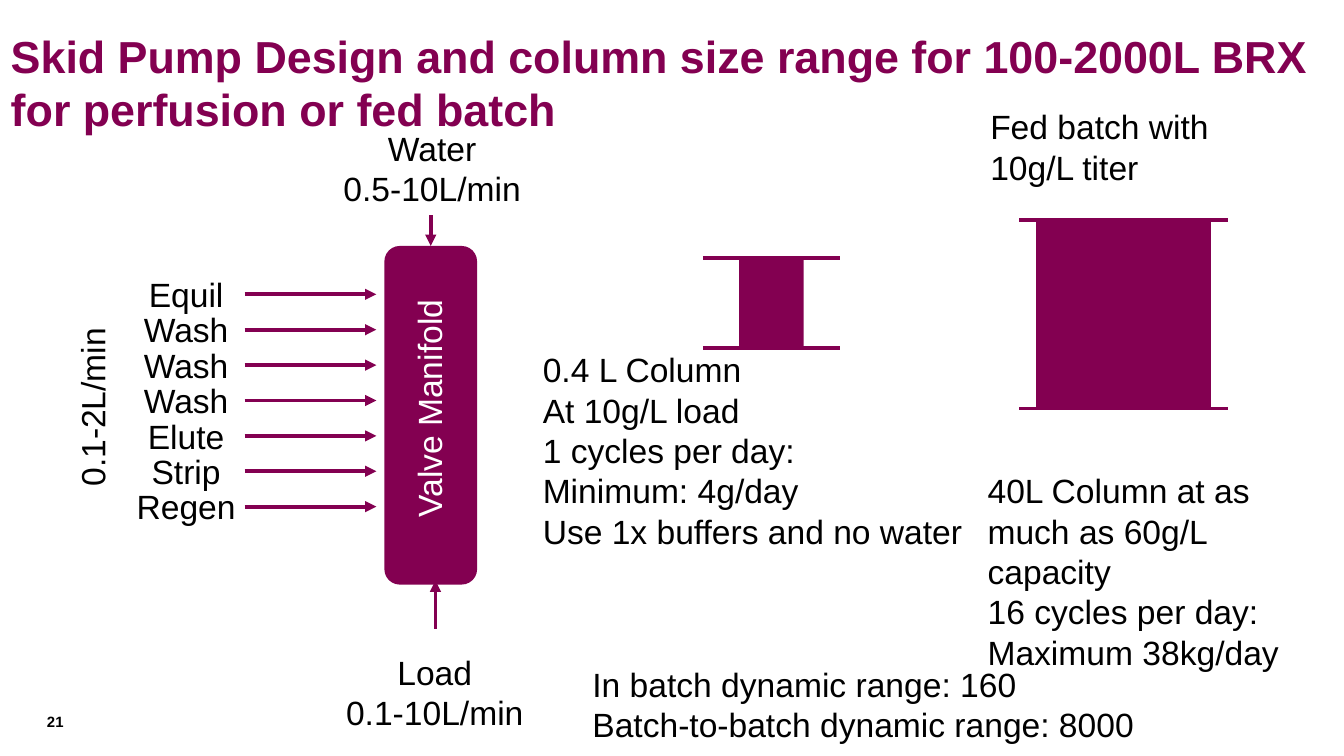
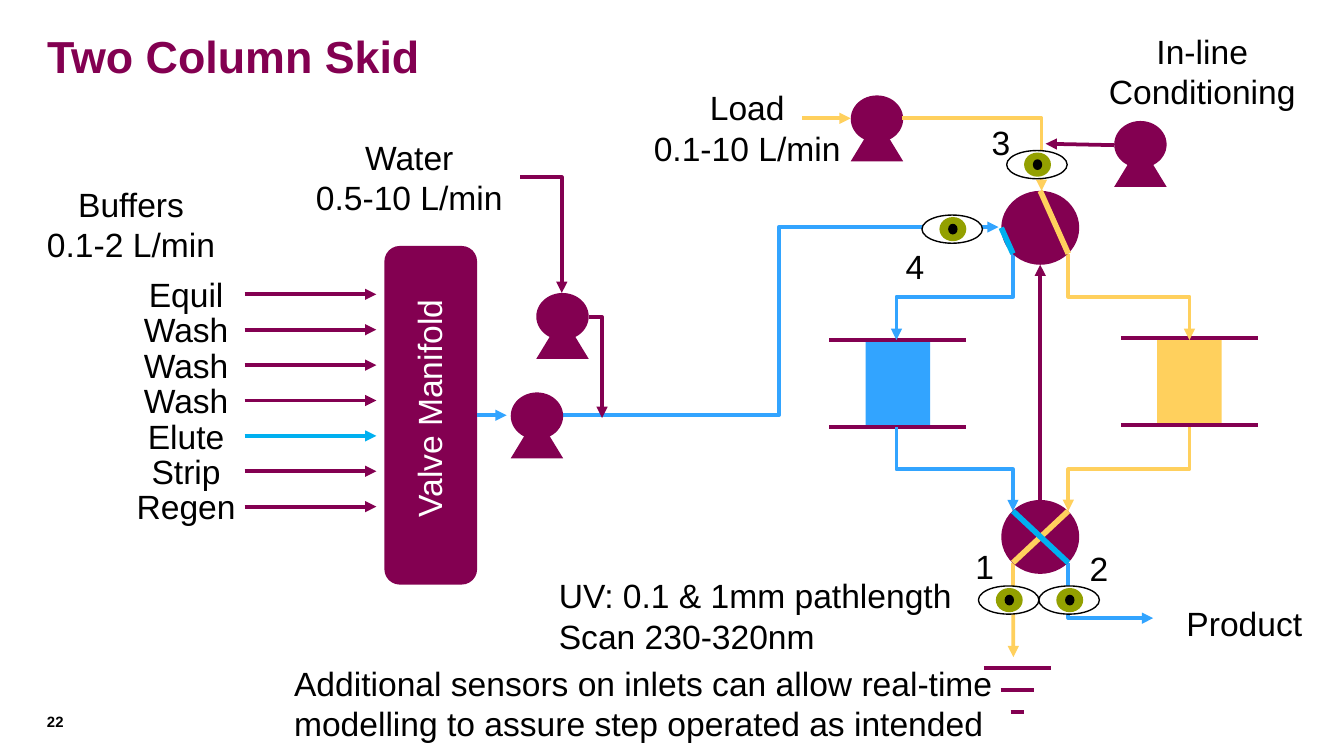
from typing import NamedTuple

from lxml import etree
from pptx import Presentation
from pptx import util as u
from pptx.dml.color import RGBColor
from pptx.enum import shapes as kinds, text
from pptx.oxml.ns import qn

PLUM = RGBColor(0x83, 0x00, 0x51)
BLUE = RGBColor(0x32, 0xA4, 0xFF)
CYAN = RGBColor(0x00, 0xB0, 0xF0)
AMBER = RGBColor(0xFF, 0xD0, 0x5D)
OLIVE = RGBColor(0x93, 0xA0, 0x00)
BLACK = RGBColor(0x00, 0x00, 0x00)
WHITE = RGBColor(0xFF, 0xFF, 0xFF)

FONT = "Arial"
SLIDE_WIDTH = u.Inches(10)
SLIDE_HEIGHT = u.Inches(5.625)
CELL = SLIDE_WIDTH / 100  # the grid has 100 columns and square cells

RECTANGLE = kinds.MSO_SHAPE.RECTANGLE
ELLIPSE = kinds.MSO_SHAPE.OVAL
TRIANGLE = kinds.MSO_SHAPE.ISOSCELES_TRIANGLE
ROUNDED = kinds.MSO_SHAPE.ROUNDED_RECTANGLE
CENTER = text.PP_ALIGN.CENTER
LEFT = text.PP_ALIGN.LEFT

BUFFERS = ["Equil", "Wash", "Wash", "Wash", "Elute", "Strip", "Regen"]


class Box(NamedTuple):
    """A region in grid cells."""
    left: float
    top: float
    width: float
    height: float

    def point(self, across, down):
        """Point at the given shares of the box's width and height."""
        return self.left + across * self.width, self.top + down * self.height

    def inner(self, left, top, width, height):
        """Box offset from this box's corner, in cells."""
        return Box(self.left + left, self.top + top, width, height)


MANIFOLD = Box(28.6, 18.3, 6.9, 25.2)
INLETS = Box(9.1, 19.9, 18.9, 15.8)


def cells(*values):
    return [u.Emu(round(value * CELL)) for value in values]


def format_text(frame, size, color, bold=False, align=LEFT):
    for paragraph in frame.paragraphs:
        paragraph.alignment = align
        for run in paragraph.runs:
            run.font.name = FONT
            run.font.size = u.Pt(size)
            run.font.bold = bold
            run.font.color.rgb = color


def add_label(slide, content, box, align=LEFT, color=BLACK, wrap=False, rotation=0):
    label = slide.shapes.add_textbox(*cells(*box))
    label.rotation = rotation
    label.text_frame.word_wrap = wrap
    label.text_frame.text = content
    format_text(label.text_frame, 18, color, align=align)


def add_solid(shapes, kind, box, color, outline=None):
    shape = shapes.add_shape(kind, *cells(*box))
    shape.shadow.inherit = False
    shape.fill.solid()
    shape.fill.fore_color.rgb = color
    if outline is None:
        shape.line.fill.background()
    else:
        shape.line.color.rgb = outline
        shape.line.width = u.Pt(0.75)
    return shape


def add_line(shapes, start, end, color=PLUM, width=2, arrow=False,
             kind=kinds.MSO_CONNECTOR.STRAIGHT):
    connector = shapes.add_connector(kind, *cells(*start, *end))
    connector.line.color.rgb = color
    connector.line.width = u.Pt(width)
    properties = connector._element.spPr
    if arrow:
        etree.SubElement(properties.find(qn("a:ln")), qn("a:tailEnd"), type="triangle")
    etree.SubElement(properties, qn("a:effectLst"))
    return connector


def add_arrow(shapes, start, end, color=PLUM):
    return add_line(shapes, start, end, color, arrow=True)


def add_elbow(shapes, start, end, color, bends=2, downward=False):
    """Bent arrow that leaves sideways, or downward by a quarter turn of its frame."""
    if downward:
        (x1, y1), (x2, y2) = start, end
        middle_x, middle_y = (x1 + x2) / 2, (y1 + y2) / 2
        half_run, half_drop = (x2 - x1) / 2, (y2 - y1) / 2
        start = middle_x - half_drop, middle_y + half_run
        end = middle_x + half_drop, middle_y - half_run
    connector = add_line(shapes, start, end, color, arrow=True,
                         kind=kinds.MSO_CONNECTOR.ELBOW)
    properties = connector._element.spPr
    properties.find(qn("a:prstGeom")).set("prst", f"bentConnector{bends + 1}")
    if downward:
        properties.find(qn("a:xfrm")).set("rot", "5400000")


def add_titled_slide(presentation, title, title_box, number):
    slide = presentation.slides.add_slide(presentation.slide_layouts[5])
    heading = slide.shapes.title
    heading.left, heading.top, heading.width, heading.height = cells(*title_box)
    frame = heading.text_frame
    frame.text = title
    frame.word_wrap = True
    frame.auto_size = text.MSO_AUTO_SIZE.NONE
    frame.vertical_anchor = text.MSO_ANCHOR.TOP
    format_text(frame, 24, PLUM, bold=True)

    footer = slide.shapes.add_textbox(*cells(3.5, 53, 4.3, 1.8)).text_frame
    footer.margin_left = footer.margin_right = footer.margin_top = footer.margin_bottom = 0
    footer.text = str(number)
    format_text(footer, 8, BLACK, bold=True)
    return slide


def add_manifold(slide, box):
    manifold = add_solid(slide.shapes, ROUNDED, box, PLUM)
    add_label(slide, "Valve Manifold", box.inner(-5.9, 10.1, 18.4, 4), CENTER, WHITE,
              rotation=270)
    return manifold


def add_buffer_inlets(slide, box, highlights):
    """One label and arrow per buffer; highlights maps a buffer to its arrow colour."""
    pitch = box.height / (len(BUFFERS) - 1)
    for row, buffer in enumerate(BUFFERS):
        add_label(slide, buffer, box.inner(0, row * pitch, 9.5, 4), CENTER)
        y = box.top + 2 + row * pitch
        add_arrow(slide.shapes, (box.left + 9.1, y), (box.left + box.width, y),
                  highlights.get(buffer, PLUM))


def add_column(slide, box, overhang, color=PLUM):
    """Packed bed between two end plates."""
    group = slide.shapes.add_group_shape().shapes
    add_solid(group, RECTANGLE, box, color)
    for y in (box.top, box.top + box.height):
        add_line(group, (box.left - overhang, y), (box.left + box.width + overhang, y))


def add_pump(slide, left, top):
    box = Box(left, top, 3.9, 4.9)
    group = slide.shapes.add_group_shape().shapes
    add_solid(group, ELLIPSE, box.inner(0, 0, 3.9, 3.5), PLUM)
    add_solid(group, TRIANGLE, box.inner(0, 1.7, 3.9, 3.2), PLUM)


def add_sensor(slide, left, top):
    """Eye-shaped UV sensor."""
    box = Box(left, top, 4.5, 2.1)
    group = slide.shapes.add_group_shape().shapes
    add_solid(group, ELLIPSE, box, WHITE, outline=BLACK)
    add_solid(group, ELLIPSE, box.inner(1.3, 0.15, 2, 1.8), OLIVE)
    add_solid(group, ELLIPSE, box.inner(1.95, 0.65, 0.7, 0.8), BLACK)


def add_valve(slide, box, channels):
    """Round valve; channels are (start, end, colour) in shares of the box."""
    group = slide.shapes.add_group_shape().shapes
    add_solid(group, ELLIPSE, box, PLUM)
    for start, end, color in channels:
        add_line(group, box.point(*start), box.point(*end), color, width=3)


def add_drain(slide, box):
    group = slide.shapes.add_group_shape().shapes
    for row, share in enumerate((1, 0.5, 0.2)):
        y = row / 2
        add_line(group, box.point(0.5 - share / 2, y), box.point(0.5 + share / 2, y))


def build_pump_design(presentation):
    slide = add_titled_slide(
        presentation,
        "Skid Pump Design and column size range for 100-2000L BRX for perfusion or fed batch",
        Box(-0.2, 1.6, 101.2, 5.5), 21)
    manifold = add_manifold(slide, MANIFOLD)
    add_buffer_inlets(slide, INLETS, {})
    add_label(slide, "0.1-2L/min", Box(-3.9, 28.3, 21.5, 4), CENTER, rotation=270)
    add_label(slide, "Water\n0.5-10L/min", Box(21.4, 9, 21.5, 7.1), CENTER)
    water = add_arrow(slide.shapes, (32.05, 16), MANIFOLD.point(0.5, 0))
    water.end_connect(manifold, 0)
    add_label(slide, "Load\n0.1-10L/min", Box(24.7, 48, 15.3, 7.1), CENTER)
    add_arrow(slide.shapes, (32.4, 46.8), (32.4, 43.2))

    add_column(slide, Box(55, 19.2, 4.8, 6.7), 2.7)
    add_label(slide, "0.4 L Column\nAt 10g/L load\n1 cycles per day:\n"
              "Minimum: 4g/day\nUse 1x buffers and no water", Box(39.4, 25.5, 33.5, 16.2))
    add_label(slide, "Fed batch with 10g/L titer", Box(72.7, 7.4, 22, 7.1), wrap=True)
    add_column(slide, Box(77.1, 16.4, 13, 14), 1.25)
    add_label(slide, "40L Column at as much as 60g/L capacity\n"
              "16 cycles per day: Maximum 38kg/day", Box(72.5, 34.5, 23.8, 16.2), wrap=True)
    add_label(slide, "In batch dynamic range: 160\nBatch-to-batch dynamic range: 8000",
              Box(43.1, 48.9, 42.7, 7.1))


def add_feed_section(slide):
    """Buffers, water and the pumps that send them on from the manifold."""
    shapes = slide.shapes
    manifold = add_manifold(slide, MANIFOLD)
    add_buffer_inlets(slide, INLETS, {"Elute": CYAN})
    add_label(slide, "Buffers\n0.1-2 L/min", Box(1.5, 13.2, 16.5, 7.1), CENTER)
    add_label(slide, "Water\n0.5-10 L/min", Box(22.2, 9.7, 16.5, 7.1), CENTER)
    add_elbow(shapes, (41.6, 30.9), (74.3, 16.9), BLUE)
    add_pump(slide, 38, 29.2)
    add_pump(slide, 39.9, 21.8)
    add_elbow(shapes, (43.8, 23.6), (44.8, 31.1), PLUM, bends=1)
    add_elbow(shapes, (38.7, 13.2), (41.8, 21.8), PLUM, bends=1)
    outlet = add_arrow(shapes, MANIFOLD.point(1, 0.5), (37.7, 30.9), BLUE)
    outlet.begin_connect(manifold, 3)


def add_load_section(slide):
    shapes = slide.shapes
    add_label(slide, "Load\n0.1-10 L/min", Box(47.6, 6, 16, 7.1), CENTER)
    add_pump(slide, 63.3, 7.1)
    add_arrow(shapes, (59.7, 8.8), (63.3, 8.8), AMBER)
    add_elbow(shapes, (67.1, 8.8), (77.5, 14.2), AMBER, bends=1)
    add_label(slide, "In-line Conditioning", Box(81.4, 1.8, 16.1, 7.1), CENTER, wrap=True)
    add_pump(slide, 82.9, 9)
    add_arrow(shapes, (82.9, 10.8), (77.8, 10.7))


def add_column_section(slide):
    """Two columns between an upper and a lower valve."""
    shapes = slide.shapes
    upper, lower = Box(74.5, 14.2, 5.8, 5.5), Box(74.5, 37.2, 5.8, 5.5)
    near, far = 0.15, 0.86
    add_column(slide, Box(64.4, 25.3, 4.8, 6.5), 2.7, BLUE)
    add_column(slide, Box(86.1, 25.15, 4.8, 6.5), 2.7, AMBER)
    for side, center, color in ((near, 66.7, BLUE), (far, 88.5, AMBER)):
        add_elbow(shapes, upper.point(side, 0.85), (center, 25.3), color, downward=True)
        add_elbow(shapes, (center, 31.8), lower.point(side, 0.15), color, downward=True)
    add_elbow(shapes, lower.point(far, 0.85), (85.8, 46), BLUE, bends=1, downward=True)
    add_arrow(shapes, lower.point(near, 0.85), (75.4, 48.9), AMBER)
    add_valve(slide, upper, [((0.5, 0), (far, 0.85), AMBER), ((0, 0.5), (near, 0.85), CYAN)])
    add_valve(slide, lower, [((far, 0.15), (near, 0.85), AMBER),
                             ((near, 0.15), (far, 0.85), CYAN)])
    add_arrow(shapes, lower.point(0.5, 0), upper.point(0.5, 1))
    add_drain(slide, Box(73.2, 49.7, 5, 3.3))
    add_label(slide, "Product", Box(87.3, 44.4, 10.7, 4))


def add_sensor_section(slide):
    for left, top in ((72.8, 43.6), (77.3, 43.6), (74.9, 11.2), (68.6, 16)):
        add_sensor(slide, left, top)
    for number, left, top in (("1", 71.6, 40.1), ("2", 80.1, 40.3),
                              ("3", 72.8, 8.6), ("4", 66.4, 17.8)):
        add_label(slide, number, Box(left, top, 3.3, 4))
    add_label(slide, "UV: 0.1 & 1mm pathlength\nScan 230-320nm", Box(40.6, 42.3, 31.5, 7.1))
    add_label(slide, "Additional sensors on inlets can allow real-time modelling "
              "to assure step operated as intended", Box(20.9, 48.8, 56.3, 7.1), wrap=True)


def build_two_column_skid(presentation):
    slide = add_titled_slide(presentation, "Two Column Skid", Box(2.5, 1.6, 95.9, 5.5), 22)
    add_feed_section(slide)
    add_load_section(slide)
    add_column_section(slide)
    add_sensor_section(slide)


def main():
    presentation = Presentation()
    presentation.slide_width = SLIDE_WIDTH
    presentation.slide_height = SLIDE_HEIGHT
    build_pump_design(presentation)
    build_two_column_skid(presentation)
    presentation.save("out.pptx")


if __name__ == "__main__":
    main()
